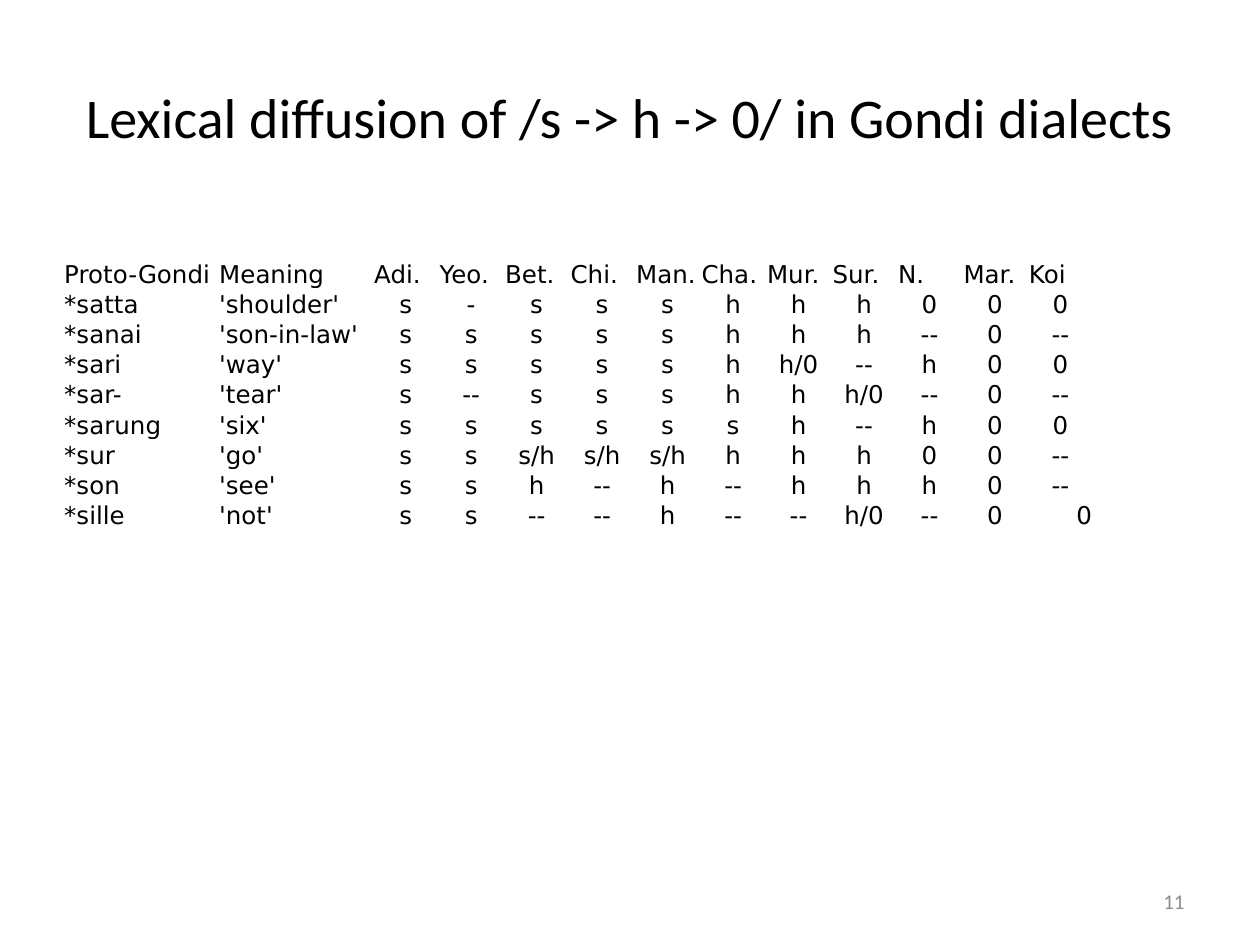
from dataclasses import dataclass

from pptx import Presentation, util as u
from pptx.dml.color import RGBColor
from pptx.enum import text as t


@dataclass(frozen=True)
class Theme:
    ink: RGBColor = RGBColor(0, 0, 0)
    gray: RGBColor = RGBColor(0x8C, 0x8C, 0x8C)
    sans: str = "Calibri"
    grid: str = "DejaVu Sans"
    head: int = 32
    cell: int = 14
    note: int = 12


@dataclass(frozen=True)
class Box:
    left: float
    top: float
    width: float
    height: float

    def emu(self) -> list[int]:
        return [u.Inches(n) for n in (self.left, self.top, self.width, self.height)]


@dataclass(frozen=True)
class Word:
    proto: str
    gloss: str
    sounds: str  # one reflex per dialect, split at blanks

    def cells(self) -> list[str]:
        return [self.proto, self.gloss, *self.sounds.split()]


THEME = Theme()
ALIGN = t.PP_ALIGN
HEADS = Word("Proto-Gondi", "Meaning",
             "Adi. Yeo. Bet. Chi. Man. Cha. Mur. Sur. N. Mar. Koi")
WORDS = [
    Word("*satta", "'shoulder'", "s - s s s h h h 0 0 0"),
    Word("*sanai", "'son-in-law'", "s s s s s h h h -- 0 --"),
    Word("*sari", "'way'", "s s s s s h h/0 -- h 0 0"),
    Word("*sar-", "'tear'", "s -- s s s h h h/0 -- 0 --"),
    Word("*sarung", "'six'", "s s s s s s h -- h 0 0"),
    Word("*sur", "'go'", "s s s/h s/h s/h h h h 0 0 --"),
    Word("*son", "'see'", "s s h -- h -- h h h 0 --"),
    Word("*sille", "'not'", "s s -- -- h -- -- h/0 -- 0 0"),
]


def write(frame, words: str, face: str, size: int, color: RGBColor, align) -> None:
    """Fill a text frame with one styled paragraph."""
    para = frame.paragraphs[0]
    para.text = words
    para.alignment = align
    para.font.name = face
    para.font.size = u.Pt(size)
    para.font.color.rgb = color


def draw_cell(cell, words: str, align) -> None:
    cell.fill.background()
    cell.vertical_anchor = t.MSO_ANCHOR.BOTTOM
    cell.margin_left = cell.margin_right = cell.margin_top = u.Inches(0.01)
    cell.margin_bottom = 0
    write(cell.text_frame, words, THEME.grid, THEME.cell, THEME.ink, align)


def draw_table(slide, box: Box, rows: list[Word]) -> None:
    count = len(rows[0].cells())
    frame = slide.shapes.add_table(len(rows), count, *box.emu())
    table = frame.table
    table.first_row = table.horz_banding = False
    for c, col in enumerate(table.columns):
        col.width = u.Inches(1.23 if c < 2 else 0.52)
    for r, word in enumerate(rows):
        table.rows[r].height = u.Inches(0.18)
        for c, words in enumerate(word.cells()):
            align = ALIGN.LEFT if r == 0 or c < 2 else ALIGN.CENTER
            draw_cell(table.cell(r, c), words, align)
    # The last reflex sits at the right edge
    table.cell(len(rows) - 1, count - 1).text_frame.paragraphs[0].alignment = ALIGN.RIGHT
    frame.height = u.Inches(box.height)


def main() -> None:
    deck = Presentation()
    deck.slide_width, deck.slide_height = u.Inches(10), u.Inches(7.5)
    slide = deck.slides.add_slide(deck.slide_layouts[5])

    # Title
    title = slide.shapes.title
    title.left, title.top, title.width, title.height = Box(0.5, 0.3, 9, 1.25).emu()
    title.text_frame.vertical_anchor = t.MSO_ANCHOR.MIDDLE
    write(title.text_frame, "Lexical diffusion of /s -> h -> 0/ in Gondi dialects",
          THEME.sans, THEME.head, THEME.ink, ALIGN.CENTER)

    # Reflexes by dialect
    draw_table(slide, Box(0.5, 2.06, 8.22, 2.22), [HEADS, *WORDS])

    # Page number
    page = slide.shapes.add_textbox(*Box(7.17, 6.95, 2.33, 0.4).emu()).text_frame
    page.word_wrap = True
    page.vertical_anchor = t.MSO_ANCHOR.MIDDLE
    write(page, "11", THEME.sans, THEME.note, THEME.gray, ALIGN.RIGHT)

    deck.save("out.pptx")


if __name__ == "__main__":
    main()
